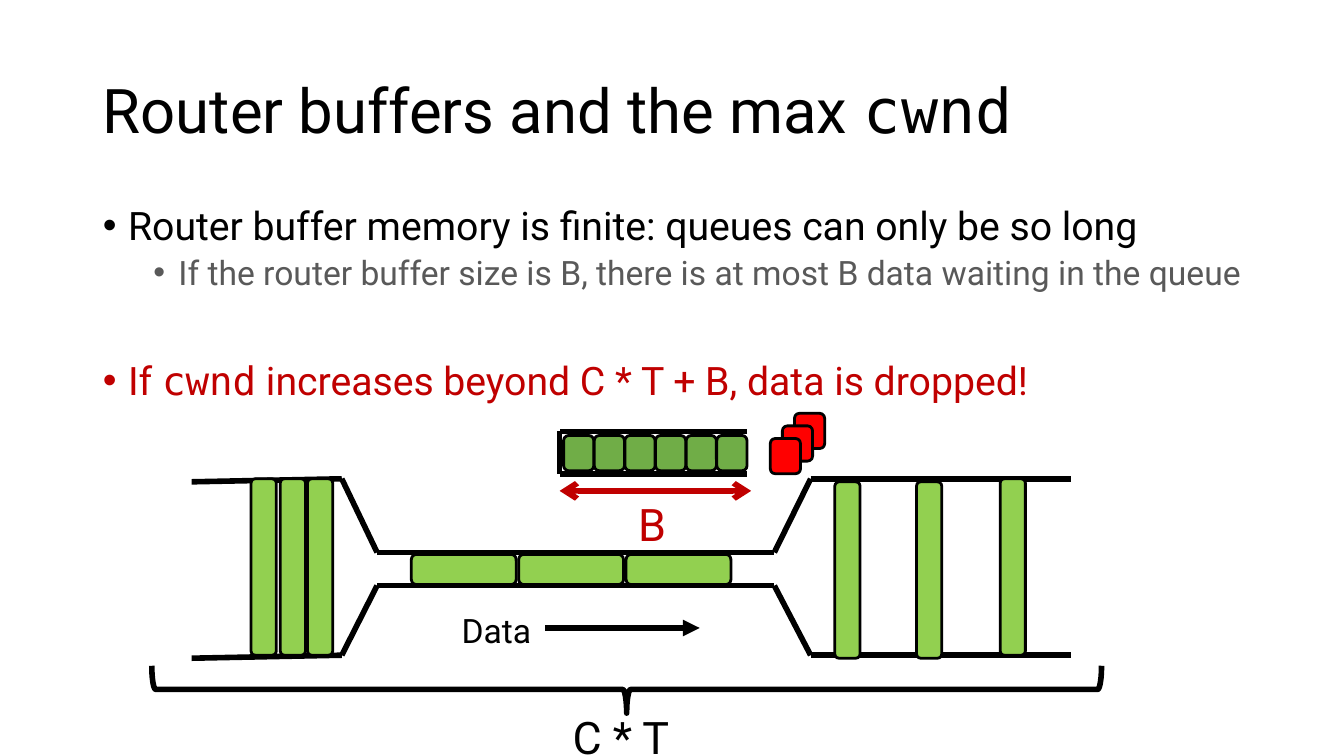
import itertools

import pptx
import pptx.dml.color
import pptx.enum.shapes
import pptx.enum.text
import pptx.oxml
import pptx.oxml.ns
import pptx.util

Inches, Pt = pptx.util.Inches, pptx.util.Pt
SHAPE = pptx.enum.shapes.MSO_SHAPE
ANCHOR = pptx.enum.text.MSO_ANCHOR

COLORS = {
    "ink": "000000", "grey": "595959", "alert": "C00000",
    "packet": "92D050", "queued": "70AD47", "dropped": "FF0000",
}
SANS, MONO = "Roboto", "DejaVu Sans Mono"

TITLE = [("Router buffers and the max ", SANS), ("cwnd", MONO)]
# runs, level, size, colour, space before
BULLETS = [
    ([("Router buffer memory is finite: queues can only be so long", SANS)],
     0, 28, "ink", 0),
    ([("If the router buffer size is B, there is at most B data waiting in the queue", SANS)],
     1, 24, "grey", 5),
    ([("If ", SANS), ("cwnd", MONO),
      (" increases beyond C * T + B, data is dropped!", SANS)],
     0, 28, "alert", 49.5),
]
# text, box, size, colour
LABELS = [
    ("Data", (4.48, 6, 2.84, 0.5), 24, "ink"),
    ("C * T", (5.58, 6.99, 1.41, 0.64), 32, "ink"),
    ("B", (6.23, 4.88, 0.49, 0.64), 32, "alert"),
]
# outlines drawn as joined straight lines
PIPE_TOP = [(1.9, 4.78), (3.39, 4.75), (3.74, 5.48), (7.68, 5.48), (8.04, 4.75), (10.62, 4.75)]
PIPE_BOTTOM = [(1.9, 6.53), (3.39, 6.5), (3.74, 5.81), (7.68, 5.81), (8.04, 6.5), (10.62, 6.5)]
BUFFER = [(7.41, 4.28), (5.55, 4.28), (5.55, 4.7), (7.41, 4.7)]
# fill, size, top left corners
PACKETS = [
    ("packet", (0.25, 1.75), [(2.49, 4.75), (2.78, 4.75), (3.05, 4.75)]),
    ("packet", (1.04, 0.3), [(4.08 + 1.065 * i, 5.5) for i in range(3)]),
    ("packet", (0.25, 1.75), [(8.28, 4.78), (9.09, 4.78), (9.92, 4.75)]),
    ("queued", (0.3, 0.35), [(5.59 + 0.304 * i, 4.32) for i in range(6)]),
    ("dropped", (0.3, 0.35), [(7.88 - 0.12 * i, 4.1 + 0.125 * i) for i in range(3)]),
]
BRACE = (5.98, 2.13, 0.47, 9.42)


def rgb(name):
    return pptx.dml.color.RGBColor.from_string(COLORS[name])


def add_child(parent, tag, **attributes):
    child = pptx.oxml.parse_xml(f"<a:{tag} {pptx.oxml.ns.nsdecls('a')}/>")
    for key, value in attributes.items():
        child.set(key, value)
    parent.append(child)


def place(shape, box):
    for name, value in zip(("left", "top", "width", "height"), box):
        setattr(shape, name, Inches(value))


def add_runs(paragraph, runs, size, color):
    for text, font_name in runs:
        run = paragraph.add_run()
        run.text = text
        for name, value in {"name": font_name, "size": Pt(size)}.items():
            setattr(run.font, name, value)
        run.font.color.rgb = rgb(color)


def add_line(slide, start, end, color="ink", head=None, tail=None):
    connector = slide.shapes.add_connector(
        pptx.enum.shapes.MSO_CONNECTOR.STRAIGHT,
        *(Inches(value) for value in (*start, *end)))
    connector.line.color.rgb = rgb(color)
    connector.line.width = Pt(4)
    properties = connector._element.spPr
    outline = properties.find(pptx.oxml.ns.qn("a:ln"))
    for tag, kind in (("headEnd", head), ("tailEnd", tail)):
        if kind:
            add_child(outline, tag, type=kind)
    add_child(properties, "effectLst")


def add_outlined(slide, kind, box, width, fill=None):
    shape = slide.shapes.add_shape(kind, *(Inches(value) for value in box))
    shape.shadow.inherit = False
    if fill:
        shape.fill.solid()
        shape.fill.fore_color.rgb = rgb(fill)
    else:
        shape.fill.background()
    shape.line.color.rgb = rgb("ink")
    shape.line.width = Pt(width)
    return shape


def fill_placeholders(slide):
    title, body = slide.placeholders[0], slide.placeholders[1]
    for shape, box, anchor in ((title, (0.92, 0.4, 11.5, 1.45), ANCHOR.MIDDLE),
                               (body, (0.92, 2, 12.15, 5.29), ANCHOR.TOP)):
        place(shape, box)
        frame = shape.text_frame
        frame.word_wrap = True
        frame.auto_size = pptx.enum.text.MSO_AUTO_SIZE.NONE
        frame.vertical_anchor = anchor
    heading = title.text_frame.paragraphs[0]
    heading.alignment = pptx.enum.text.PP_ALIGN.LEFT
    heading.line_spacing = 0.9
    add_runs(heading, TITLE, 44, "ink")

    for index, (runs, level, size, color, before) in enumerate(BULLETS):
        frame = body.text_frame
        paragraph = frame.add_paragraph() if index else frame.paragraphs[0]
        properties = paragraph._p.get_or_add_pPr()
        properties.set("marL", str(Inches(0.25 + 0.5 * level)))
        properties.set("indent", str(Inches(-0.25)))
        add_child(properties, "buFont", typeface="Arial")
        add_child(properties, "buChar", char="•")
        formats = {"level": level, "line_spacing": 0.9,
                   "space_before": Pt(before), "space_after": Pt(0)}
        for name, value in formats.items():
            setattr(paragraph, name, value)
        add_runs(paragraph, runs, size, color)


def draw_network(slide):
    for outline in (PIPE_TOP, PIPE_BOTTOM, BUFFER):
        for start, end in itertools.pairwise(outline):
            add_line(slide, start, end)
    for fill, size, corners in PACKETS:
        for corner in corners:
            add_outlined(slide, SHAPE.ROUNDED_RECTANGLE, (*corner, *size), 2, fill)
    add_line(slide, (5.41, 6.23), (6.94, 6.23), tail="triangle")
    add_line(slide, (5.55, 4.87), (7.45, 4.87), "alert", "arrow", "arrow")
    add_outlined(slide, SHAPE.RIGHT_BRACE, BRACE, 4).rotation = 90
    for text, box, size, color in LABELS:
        label = slide.shapes.add_textbox(*(Inches(value) for value in box))
        label.text_frame.word_wrap = True
        add_runs(label.text_frame.paragraphs[0], [(text, SANS)], size, color)


def main():
    presentation = pptx.Presentation()
    presentation.slide_width = Inches(13.33)
    presentation.slide_height = Inches(7.5)
    slide = presentation.slides.add_slide(presentation.slide_layouts[1])
    fill_placeholders(slide)
    draw_network(slide)
    presentation.save("out.pptx")


if __name__ == "__main__":
    main()
